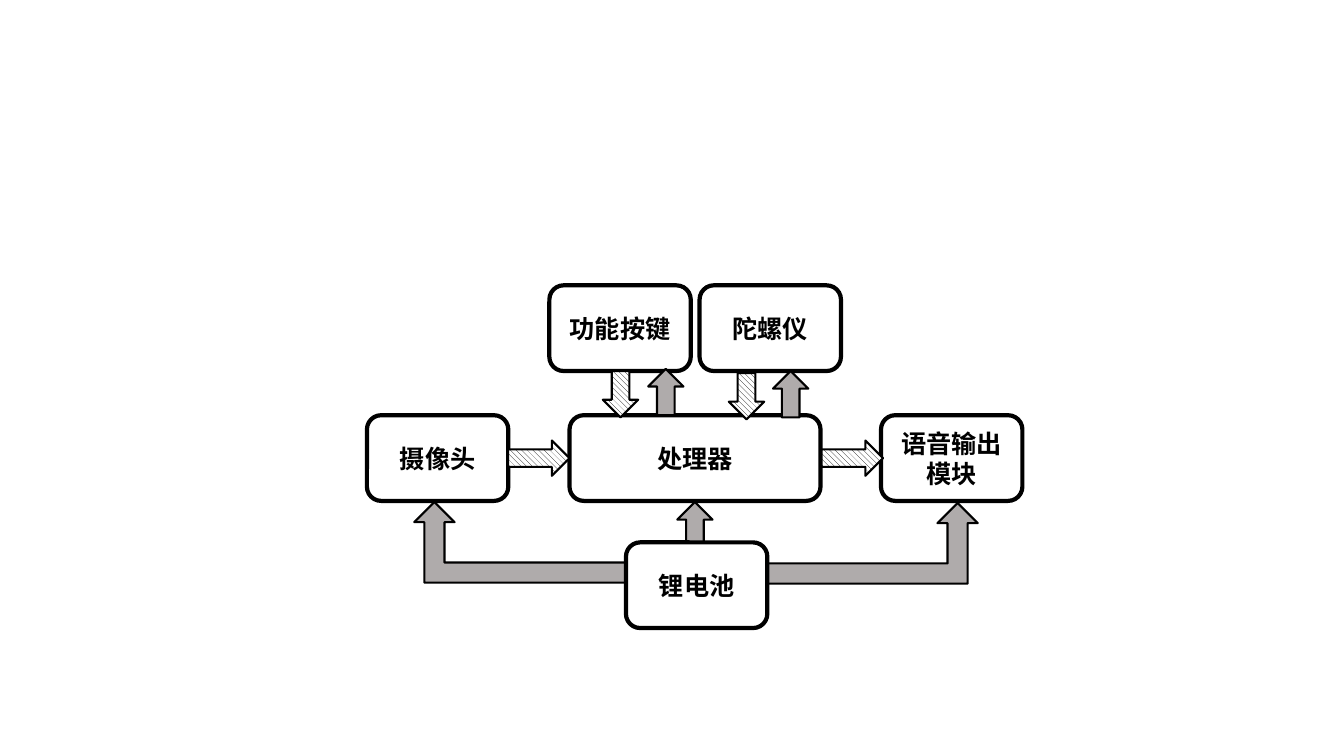
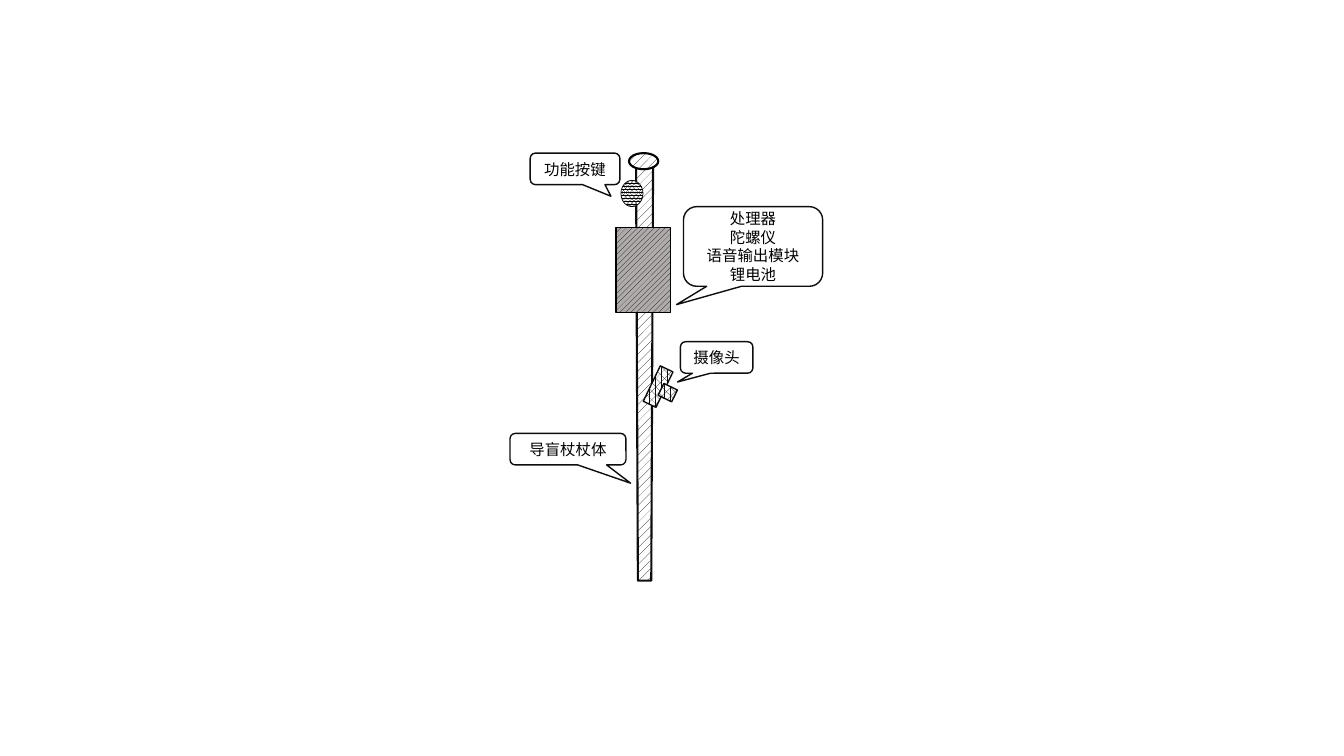
from pptx import Presentation
from pptx.dml.color import RGBColor
from pptx.enum.dml import MSO_PATTERN as PATTERN
from pptx.enum.shapes import MSO_SHAPE as SHAPE
from pptx.enum.text import MSO_ANCHOR, PP_ALIGN
from pptx.util import Pt

FONT = "Noto Sans CJK SC"
BLACK, INK, WHITE, GRAY = "000000", "0D0D0D", "FFFFFF", "AFABAB"
DATA = (PATTERN.WIDE_DOWNWARD_DIAGONAL, BLACK, WHITE)
CANE = (PATTERN.PERCENT_20, BLACK, WHITE)
LENS = (PATTERN.PERCENT_60, INK, WHITE)
KEY = (PATTERN.PERCENT_80, BLACK, WHITE)
CASE = (PATTERN.WIDE_UPWARD_DIAGONAL, BLACK, GRAY)

BOX_WIDTH, BOX_HEIGHT = 101, 61.2
TOP_ROW, MIDDLE_ROW, BOTTOM_ROW = 203.8, 296.6, 387.4
MODULES = [
    ("处理器", 406.8, MIDDLE_ROW, 179.3),
    ("摄像头", 262.1, MIDDLE_ROW, BOX_WIDTH),
    ("语音输出模块", 629.3, MIDDLE_ROW, BOX_WIDTH),
    ("陀螺仪", 499.7, TOP_ROW, BOX_WIDTH),
    ("功能按键", 392.4, TOP_ROW, BOX_WIDTH),
]
BATTERY = ("锂电池", 447.1, BOTTOM_ROW, BOX_WIDTH)

ARROW_WIDTH = 25.2
ARROWS = [
    (483.8, 358.6, 69.8, 0, GRAY),
    (463, 263.5, 33.1, 0, GRAY),
    (552.2, 265, 33.1, 0, GRAY),
    (430.6, 265, 33.1, 180, DATA),
    (520.6, 266.4, 33.1, 180, DATA),
    (372.2, 305.3, 43.9, 90, DATA),
    (596.2, 305.3, 43.9, 90, DATA),
]
BENT_ARROWS = [
    (526.3, 359.3, 172.1, False),
    (295.9, 358.6, 159.1, True),
]

CANE_PARTS = [
    (SHAPE.TRAPEZOID, (454.3, 115.9, 12.2, 298.8), CANE, INK, 1.5, 180, [0.107]),
    (SHAPE.RECTANGLE, (465.1, 262.1, 10.1, 28.1), LENS, INK, 1, 25.6, []),
    (SHAPE.RECTANGLE, (471.6, 275.8, 10.8, 9.4), LENS, INK, 1, 25.8, []),
    (SHAPE.OVAL, (449.3, 109.4, 20.9, 11.5), CANE, BLACK, 1.5, 0, []),
    (SHAPE.RECTANGLE, (439.9, 162.7, 38.9, 60.5), CASE, BLACK, 1, 0, []),
    (SHAPE.OVAL, (443.5, 128.9, 15.8, 18.7), KEY, BLACK, 0.5, 0, []),
]
CALLOUTS = [
    (["摄像头"], (486, 244.1, 51.8, 22.5), (-0.54, 0.78)),
    (["处理器", "陀螺仪", "语音输出模块", "锂电池"], (488.2, 147.6, 99.4, 56.9), (-0.55, 0.73)),
    (["功能按键"], (378.7, 109.4, 64.1, 22.5), (0.4, 0.87)),
    (["导盲杖杖体"], (364.3, 309.6, 82.8, 22.5), (0.54, 1.08)),
]


def color(hex_code):
    return RGBColor.from_string(hex_code)


def add_part(page, kind, frame, fill, line, width, rotation=0, adjustments=()):
    part = page.shapes.add_shape(kind, *map(Pt, frame))
    part.shadow.inherit = False
    part.rotation = rotation
    for index, value in enumerate(adjustments):
        part.adjustments[index] = value
    if isinstance(fill, tuple):
        pattern, front, back = fill
        part.fill.patterned()
        part.fill.pattern = pattern
        part.fill.fore_color.rgb = color(front)
        part.fill.back_color.rgb = color(back)
    else:
        part.fill.solid()
        part.fill.fore_color.rgb = color(fill)
    part.line.color.rgb = color(line)
    part.line.width = Pt(width)
    return part


def write(part, lines, size, bold=False):
    frame = part.text_frame
    frame.word_wrap = True
    frame.vertical_anchor = MSO_ANCHOR.MIDDLE
    frame.text = "\n".join(lines)
    for para in frame.paragraphs:
        para.alignment = PP_ALIGN.CENTER
        para.font.name = FONT
        para.font.size = Pt(size)
        para.font.bold = bold
        para.font.color.rgb = color(BLACK)


def add_module(page, label, left, top, width):
    box = add_part(page, SHAPE.ROUNDED_RECTANGLE, (left, top, width, BOX_HEIGHT), WHITE, BLACK, 3)
    write(box, [label], 18, True)


def build_block_diagram(page):
    for module in MODULES:
        add_module(page, *module)
    for left, top, length, rotation, fill in ARROWS:
        add_part(page, SHAPE.UP_ARROW, (left, top, ARROW_WIDTH, length), fill, BLACK, 1.5, rotation)
    for left, top, width, flipped in BENT_ARROWS:
        arrow = add_part(page, SHAPE.BENT_UP_ARROW, (left, top, width, 57.6), GRAY, BLACK, 1.5)
        if flipped:
            arrow.element.spPr.xfrm.set("flipH", "1")
    add_module(page, *BATTERY)


def build_cane(page):
    for part in CANE_PARTS:
        add_part(page, *part)
    for lines, frame, tip in CALLOUTS:
        callout = add_part(page, SHAPE.ROUNDED_RECTANGULAR_CALLOUT, frame, WHITE, INK, 1, 0, tip)
        write(callout, lines, 11)


deck = Presentation()
deck.slide_width, deck.slide_height = Pt(960), Pt(540)
for build in (build_block_diagram, build_cane):
    build(deck.slides.add_slide(deck.slide_layouts[6]))
deck.save("out.pptx")
